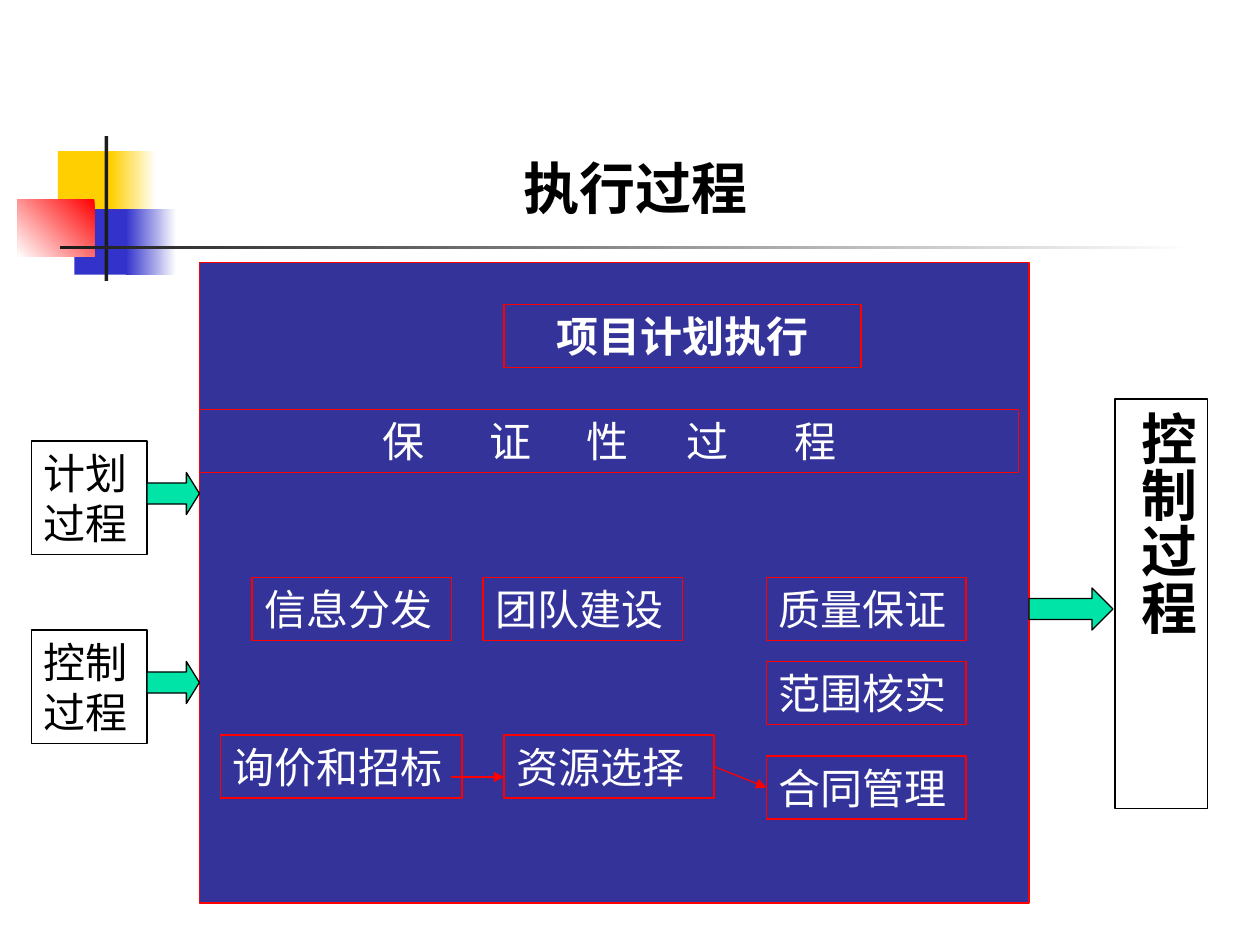
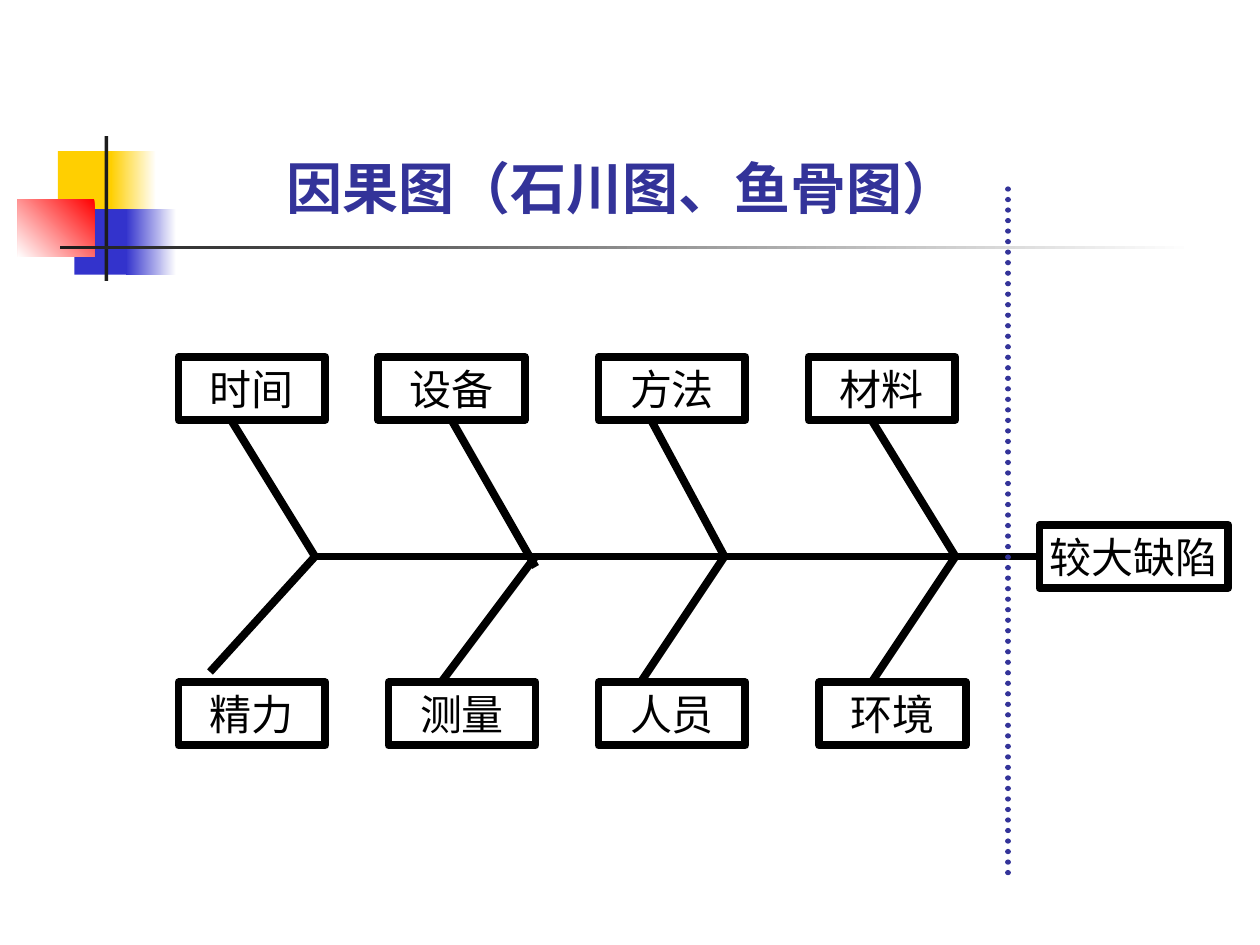
from lxml import etree
from pptx import Presentation, util as u
from pptx.dml.color import RGBColor
from pptx.enum import dml, shapes, text
from pptx.oxml.ns import qn

WHITE, BLACK = RGBColor(255, 255, 255), RGBColor(0, 0, 0)
RED, INDIGO = RGBColor(255, 0, 0), RGBColor(0x33, 0x33, 0x99)
YELLOW, BLUE = RGBColor(0xFF, 0xCF, 0x01), RGBColor(0x33, 0x33, 0xCC)
CHARCOAL, GREEN = RGBColor(0x1C, 0x1C, 0x1C), RGBColor(0x00, 0xE4, 0xA8)
SERIF, NARROW, CJK = "Times New Roman", "Arial Narrow", "Noto Sans CJK SC"
UNIT = u.Inches(1) / 12  # the diagrams sit on a grid of twelve cells to the inch

# Shared decoration, in inches: left, top, width, height, colours, gradient angle
DECORATION = [
    (0.46, 1.2, 0.48, 0.52, [YELLOW], None),
    (0.88, 1.2, 0.36, 0.52, [WHITE, YELLOW], 180),
    (0.59, 1.66, 0.46, 0.52, [BLUE], None),
    (1, 1.66, 0.4, 0.52, [WHITE, BLUE], 180),
    (0.14, 1.58, 0.61, 0.46, [RED, WHITE], 225),
    (0.83, 1.08, 0.03, 1.15, [CHARCOAL], None),
    (0.48, 1.95, 9, 0.03, [WHITE, CHARCOAL], 180),
]

# Everything below is in grid cells
TITLE_TOP, TITLE_HEIGHT = 14, 7.7
EXECUTION_TITLE = ("执行过程", 22, 77)
FISHBONE_TITLE = ("因果图（石川图、鱼骨图）", 24.3, 70)

EXECUTION_BLOCK = (19, 25, 79, 61)
STEP_HEIGHT = 6
STEPS = [  # text, left, top, width
    ("信息分发", 24, 55, 19),
    ("团队建设", 46, 55, 19),
    ("询价和招标", 21, 70, 23),
    ("资源选择", 48, 70, 20),
    ("合同管理", 73, 72, 19),
    ("质量保证", 73, 55, 19),
    ("范围核实", 73, 63, 19),
]
PLAN_EXECUTION = ("项目计划执行", (48, 29, 34, STEP_HEIGHT))
ASSURANCE = ("保证性过程", (19, 39, 78, STEP_HEIGHT))
ASSURANCE_TABS = [1.52, 2.37, 3.14, 3.93, 4.79]  # inches
STEP_ARROWS = [((43, 74), (48, 74)), ((68, 73), (73, 75))]
INPUTS = [("计划过程", 42), ("控制过程", 60)]
OUTPUT = ("控制过程", (106.2, 38, 8.8, 39))
OUTPUT_ARROW = (98, 56, 8, 4)

CAUSE_SIZE = (14, 6)
TOP_ROW, BOTTOM_ROW, SPINE = 34, 65, 53
CAUSES = [  # text, box left, top, bone start, bone end
    ("时间", 17, TOP_ROW, (22, 40), (30, SPINE)),
    ("设备", 36, TOP_ROW, (43, 40), (51, 54)),
    ("方法", 57, TOP_ROW, (62, 40), (69, SPINE)),
    ("材料", 77, TOP_ROW, (83, 40), (91, SPINE)),
    ("精力", 17, BOTTOM_ROW, (20, 64), (30, SPINE)),
    ("测量", 37, BOTTOM_ROW, (42, 65), (51, SPINE)),
    ("人员", 57, BOTTOM_ROW, (61, 65), (69, SPINE)),
    ("环境", 78, BOTTOM_ROW, (83, 65), (91, SPINE)),
]
EFFECT = ("较大缺陷", (99, 50, 18, 6))
DIVIDER = ((96, 18), (96, 84))


def cells(*values):
    return [round(value * UNIT) for value in values]


def add_box(slide, place, fill=None, line=None, weight=0.75, kind=shapes.MSO_SHAPE.RECTANGLE):
    shape = slide.shapes.add_shape(kind, *cells(*place))
    shape.shadow.inherit = False
    if fill is None:
        shape.fill.background()
    else:
        shape.fill.solid()
        shape.fill.fore_color.rgb = fill
    if line is None:
        shape.line.fill.background()
    else:
        shape.line.color.rgb = line
        shape.line.width = u.Pt(weight)
    return shape


def write(shape, words, color, size=24, bold=False, name=SERIF, centred=True,
          anchor=text.MSO_ANCHOR.TOP, wrap=True):
    frame = shape.text_frame
    frame.word_wrap = wrap
    frame.vertical_anchor = anchor
    paragraph = frame.paragraphs[0]
    paragraph.alignment = text.PP_ALIGN.CENTER if centred else text.PP_ALIGN.LEFT
    run = paragraph.add_run()
    run.text = words
    for key, value in {"size": u.Pt(size), "bold": bold, "name": name}.items():
        setattr(run.font, key, value)
    run.font.color.rgb = color
    east_asian = etree.Element(qn("a:ea"), typeface=CJK)
    run.font._element.find(qn("a:latin")).addnext(east_asian)
    return paragraph


def add_line(slide, start, end, color, weight):
    line = slide.shapes.add_connector(shapes.MSO_CONNECTOR.STRAIGHT, *cells(*start, *end))
    line.line.color.rgb = color
    line.line.width = u.Pt(weight)
    etree.SubElement(line._element.spPr, qn("a:effectLst"))
    return line


def add_block_arrow(slide, place, head):
    arrow = add_box(slide, place, GREEN, BLACK, kind=shapes.MSO_SHAPE.RIGHT_ARROW)
    arrow.adjustments[1] = head


def start_slide(presentation):
    """Add a blank slide with the shared decoration."""
    slide = presentation.slides.add_slide(presentation.slide_layouts[6])
    for *place, colors, angle in DECORATION:
        shape = add_box(slide, [12 * inches for inches in place], colors[0])
        if angle is not None:
            shape.fill.gradient()
            shape.fill.gradient_angle = angle
            for stop, color in zip(shape.fill.gradient_stops, colors):
                stop.color.rgb = color
    return slide


def add_title(slide, title, color, fill=None, **format_values):
    words, left, width = title
    shape = add_box(slide, (left, TITLE_TOP, width, TITLE_HEIGHT), fill)
    write(shape, words, color, size=32, bold=True, **format_values)


def build_execution(presentation):
    slide = start_slide(presentation)
    add_box(slide, EXECUTION_BLOCK, INDIGO, RED)
    words, place = PLAN_EXECUTION
    write(add_box(slide, place, line=RED), words, WHITE, bold=True)

    words, place = ASSURANCE
    spread = "".join("\t" + letter for letter in words)
    paragraph = write(add_box(slide, place, line=RED), spread, WHITE, centred=False)
    tabs = etree.SubElement(paragraph._p.get_or_add_pPr(), qn("a:tabLst"))
    for position in ASSURANCE_TABS:
        etree.SubElement(tabs, qn("a:tab"), pos=str(u.Inches(position)), algn="ctr")

    for words, left, top, width in STEPS:
        box = add_box(slide, (left, top, width, STEP_HEIGHT), line=RED)
        write(box, words, WHITE, centred=False)
    for start, end in STEP_ARROWS:
        line = add_line(slide, start, end, RED, 0.75)
        etree.SubElement(line.line._get_or_add_ln(), qn("a:tailEnd"), type="triangle")

    add_title(slide, EXECUTION_TITLE, BLACK, WHITE)
    words, place = OUTPUT
    output = add_box(slide, place, line=BLACK)
    write(output, words, BLACK, size=32, bold=True)
    frame = output.text_frame
    frame._txBody.bodyPr.set("vert", "eaVert")
    frame.margin_left = frame.margin_right = u.Inches(0.05)
    frame.margin_top = frame.margin_bottom = u.Inches(0.1)
    for words, top in INPUTS:
        write(add_box(slide, (3, top, 11, 10.8), line=BLACK), words, BLACK, centred=False)
        add_block_arrow(slide, (14, top + 3, 5, 4), 0.31)
    add_block_arrow(slide, OUTPUT_ARROW, 0.5)


def build_fishbone(presentation):
    slide = start_slide(presentation)
    middle = {"anchor": text.MSO_ANCHOR.MIDDLE, "wrap": False}
    boxes = [(words, (left, top, *CAUSE_SIZE)) for words, left, top, *_ in CAUSES]
    for words, place in boxes + [EFFECT]:
        write(add_box(slide, place, WHITE, BLACK, 4.5), words, BLACK, name=NARROW, **middle)
    bones = [(start, end) for *_, start, end in CAUSES]
    for start, end in [((30, SPINE), (99, SPINE))] + bones:
        add_line(slide, start, end, BLACK, 4.5)
    divider = add_line(slide, *DIVIDER, INDIGO, 3)
    divider.line.dash_style = dml.MSO_LINE.ROUND_DOT
    divider.line._get_or_add_ln().set("cap", "rnd")
    add_title(slide, FISHBONE_TITLE, INDIGO, name=CJK, **middle)


def main():
    presentation = Presentation()
    presentation.slide_width, presentation.slide_height = u.Inches(10), u.Inches(7.5)
    build_execution(presentation)
    build_fishbone(presentation)
    presentation.save("out.pptx")


if __name__ == "__main__":
    main()
